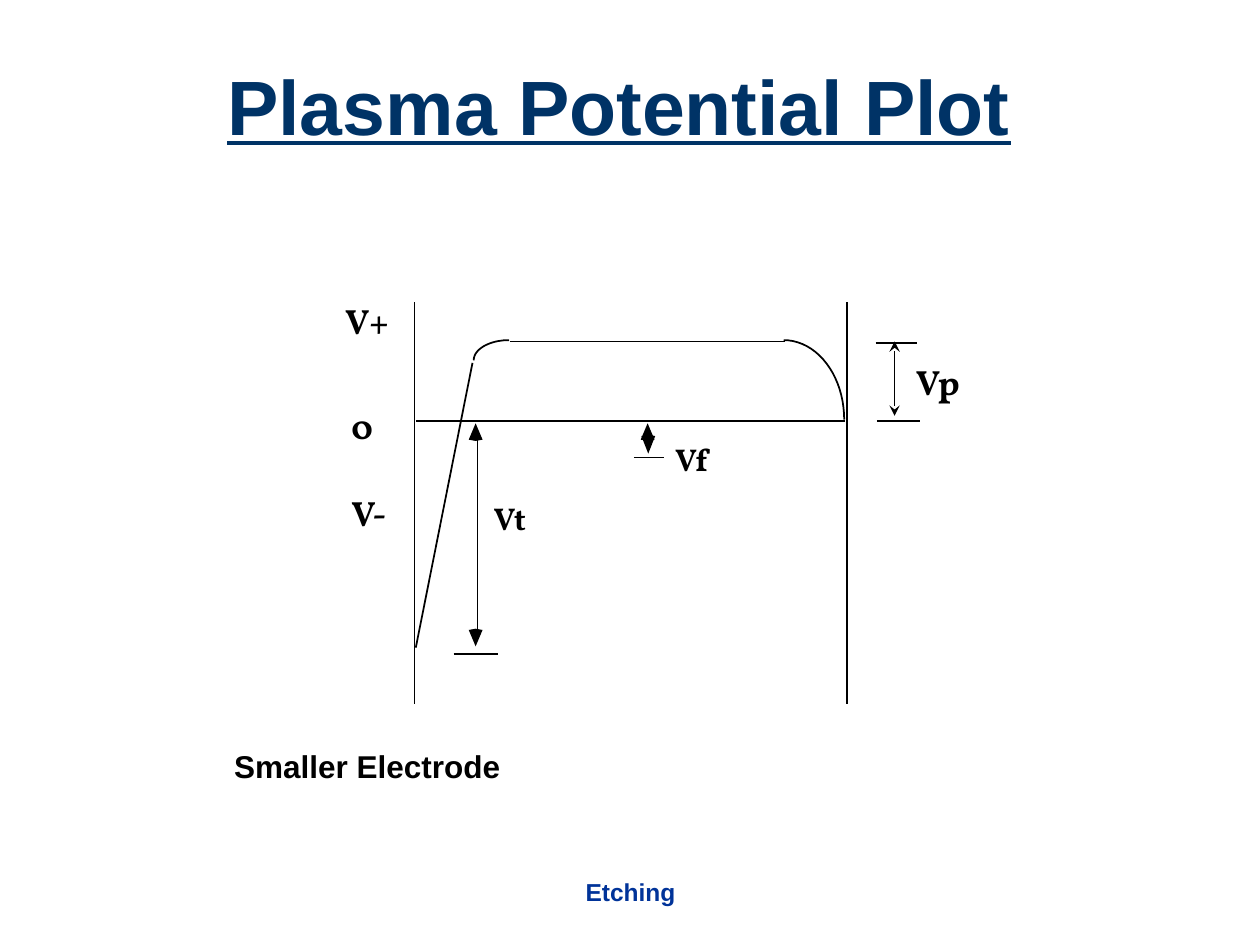
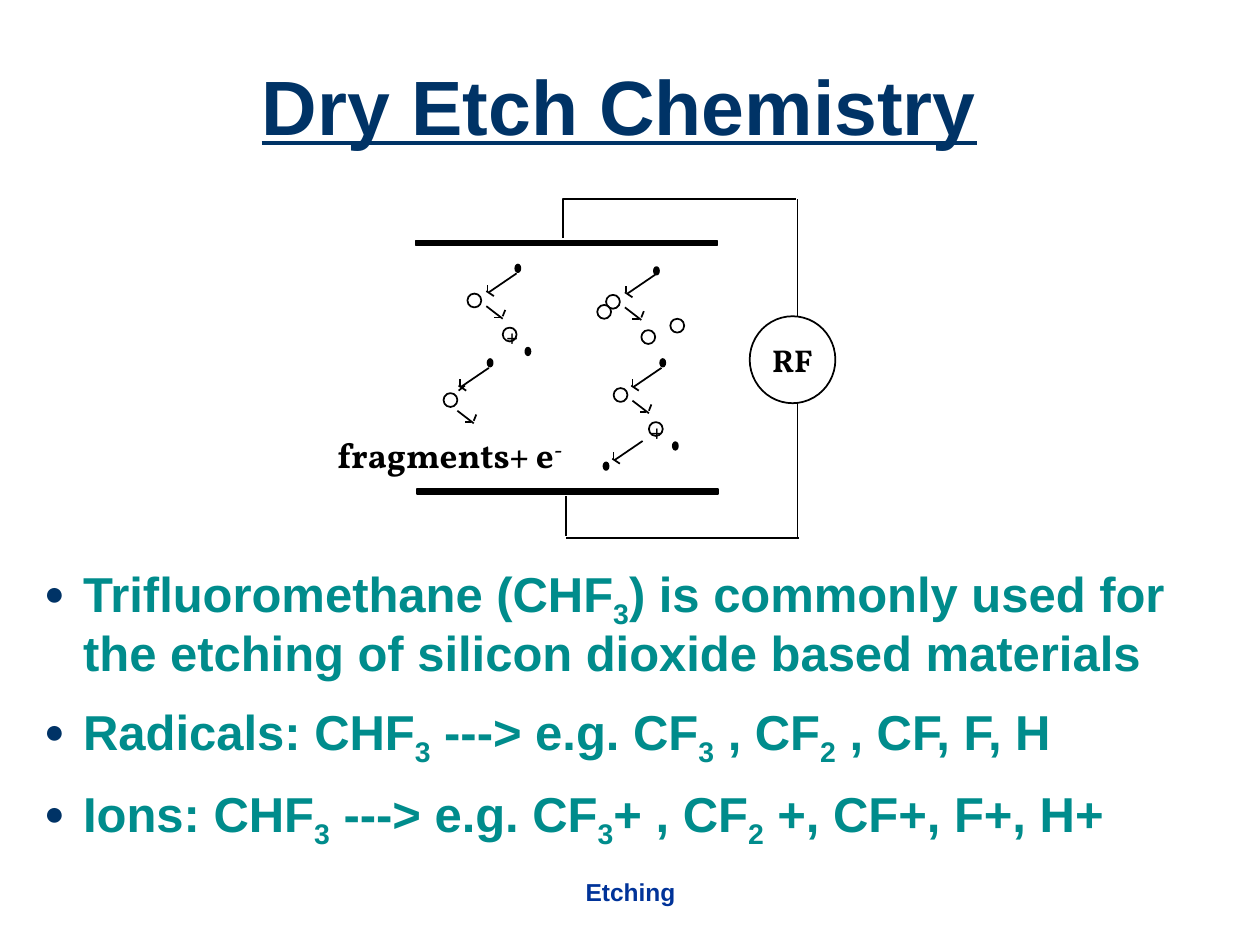
import math
from dataclasses import dataclass
from typing import NamedTuple

from lxml import etree
from pptx import Presentation
from pptx import util as u
from pptx.dml.color import RGBColor
from pptx.enum import shapes, text
from pptx.oxml.ns import qn


@dataclass(frozen=True)
class Theme:
    title: RGBColor = RGBColor(0x00, 0x33, 0x66)
    body: RGBColor = RGBColor(0x00, 0x8C, 0x8C)
    footer: RGBColor = RGBColor(0x00, 0x33, 0x99)
    ink: RGBColor = RGBColor(0, 0, 0)
    paper: RGBColor = RGBColor(255, 255, 255)
    sans: str = "Arial"
    serif: str = "Vollkorn"
    title_size: int = 44
    body_size: int = 28
    label_size: int = 20
    small_label_size: int = 18
    footer_size: int = 14
    sign_size: int = 12
    stroke: int = 1


THEME = Theme()
WIDTH, HEIGHT = u.Inches(10), u.Inches(7.5)
COLUMNS, ROWS = 100, 75


class Box(NamedTuple):
    x: float
    y: float
    w: float
    h: float


class Line(NamedTuple):
    x1: float
    y1: float
    x2: float
    y2: float


class Run(NamedTuple):
    text: str
    baseline: int = 0


class Label(NamedTuple):
    runs: list[Run]
    box: Box
    size: int = THEME.label_size
    font: str = THEME.serif
    color: RGBColor = THEME.ink
    centred: bool = False
    grow: bool = True


class Arrow(NamedTuple):
    strokes: list[Line]


TITLE_BOX = Box(2.5, 2.5, 93.3, 12.5)
BODY_BOX = Box(2.5, 44.2, 93.3, 25)
FOOTER = Label([Run("Etching")], Box(34.2, 68.3, 31.7, 5), THEME.footer_size,
               THEME.sans, THEME.footer, True, False)
SUB3, SUB2 = Run("3", -25), Run("2", -25)

ELECTRON_PATH = Arrow([Line(0, 0, -2.2, 1.5), Line(-2.3, 1.4, -2.3, 0.9),
                       Line(-2.4, 1.4, -1.8, 1.8)])
PRODUCT_PATH = Arrow([Line(0, 0, 1.3, 1), Line(1.3, 0.8, 1.5, 0.3),
                      Line(1.1, 0.9, 0.6, 0.9)])


def col(n: float) -> int:
    return round(WIDTH * n / COLUMNS)


def row(n: float) -> int:
    return round(HEIGHT * n / ROWS)


def place(box: Box) -> tuple[int, int, int, int]:
    return col(box.x), row(box.y), col(box.w), row(box.h)


def add_runs(p, runs: list[Run], size: int, font: str, color: RGBColor,
             underline: bool = False) -> None:
    for run in runs:
        r = p.add_run()
        r.text = run.text
        r.font.size = u.Pt(size)
        r.font.name = font
        r.font.bold = True
        r.font.color.rgb = color
        if underline:
            r.font.underline = True
        if run.baseline:
            r.font._element.set("baseline", str(run.baseline * 1000))


def add_label(parent, label: Label) -> None:
    sp = parent.add_textbox(*place(label.box))
    tf = sp.text_frame
    tf.word_wrap = False
    fit = text.MSO_AUTO_SIZE
    tf.auto_size = fit.SHAPE_TO_FIT_TEXT if label.grow else fit.NONE
    p = tf.paragraphs[0]
    if label.centred:
        p.alignment = text.PP_ALIGN.CENTER
        tf.vertical_anchor = text.MSO_ANCHOR.MIDDLE
    add_runs(p, label.runs, label.size, label.font, label.color)


def ink_stroke(sp) -> None:
    sp.line.color.rgb = THEME.ink
    sp.line.width = u.Pt(THEME.stroke)


def add_line(parent, line: Line, stealth: bool = False) -> None:
    sp = parent.add_connector(shapes.MSO_CONNECTOR.STRAIGHT, col(line.x1),
                              row(line.y1), col(line.x2), row(line.y2))
    ink_stroke(sp)
    if stealth:
        ln = sp.line._get_or_add_ln()
        for end in ("a:headEnd", "a:tailEnd"):
            etree.SubElement(ln, qn(end), type="stealth")
    etree.SubElement(sp._element.spPr, qn("a:effectLst"))


def add_arrow(parent, arrow: Arrow, x: float, y: float) -> None:
    for k in arrow.strokes:
        add_line(parent, Line(x + k.x1, y + k.y1, x + k.x2, y + k.y2))


def add_preset(parent, kind, box: Box, fill: RGBColor | None = None) -> None:
    sp = parent.add_shape(kind, *place(box))
    sp.shadow.inherit = False
    if fill is None:
        sp.fill.background()
    else:
        sp.fill.solid()
        sp.fill.fore_color.rgb = fill
    ink_stroke(sp)


def add_outline(parent, points: list[tuple[float, float]], solid: bool = False) -> None:
    spots = [(col(x), row(y)) for x, y in points]
    builder = parent.build_freeform(*spots[0])
    builder.add_line_segments(spots[1:], close=solid)
    sp = builder.convert_to_shape()
    sp.shadow.inherit = False
    if solid:
        sp.fill.solid()
        sp.fill.fore_color.rgb = THEME.ink
        sp.line.fill.background()
    else:
        sp.fill.background()
        ink_stroke(sp)


def add_quarter_ellipse(parent, cx: float, cy: float, rx: float, ry: float) -> None:
    steps = 20
    angles = [math.pi / 2 * i / steps for i in range(steps + 1)]
    add_outline(parent, [(cx + rx * math.sin(a), cy - ry * math.cos(a)) for a in angles])


def add_arrowhead(parent, x: float, tip: float, length: float) -> None:
    base = tip + length
    shoulder = base - length / 14
    add_outline(parent, [(x - 0.55, shoulder), (x, base), (x + 0.55, shoulder),
                         (x, tip)], solid=True)


def fill_placeholder(sp, box: Box):
    sp.left, sp.top, sp.width, sp.height = place(box)
    tf = sp.text_frame
    tf.word_wrap = True
    tf.auto_size = text.MSO_AUTO_SIZE.NONE
    return tf


def add_slide(prs, layout: int, title: str):
    s = prs.slides.add_slide(prs.slide_layouts[layout])
    add_label(s.shapes, FOOTER)
    tf = fill_placeholder(s.shapes.title, TITLE_BOX)
    tf.vertical_anchor = text.MSO_ANCHOR.MIDDLE
    p = tf.paragraphs[0]
    p.alignment = text.PP_ALIGN.CENTER
    p.line_spacing = 0.9
    add_runs(p, [Run(title)], THEME.title_size, THEME.sans, THEME.title, True)
    return s


def add_bullets(sp, items: list[list[Run]]) -> None:
    tf = fill_placeholder(sp, BODY_BOX)
    tf.vertical_anchor = text.MSO_ANCHOR.TOP
    for i, runs in enumerate(items):
        p = tf.add_paragraph() if i else tf.paragraphs[0]
        pPr = p._p.get_or_add_pPr()
        pPr.set("marL", str(col(3.1)))
        pPr.set("indent", str(-col(3.1)))
        color = etree.SubElement(pPr, qn("a:buClr"))
        etree.SubElement(color, qn("a:srgbClr"), val=str(THEME.title))
        etree.SubElement(pPr, qn("a:buSzPct"), val="70000")
        etree.SubElement(pPr, qn("a:buFont"), typeface=THEME.sans)
        etree.SubElement(pPr, qn("a:buChar"), char="●")
        p.line_spacing = 0.95
        p.space_before = u.Pt(10.5 if i else 0)
        add_runs(p, runs, THEME.body_size, THEME.sans, THEME.body)


def build_potential_plot(prs) -> None:
    parent = add_slide(prs, 5, "Plasma Potential Plot").shapes
    walls = [Line(x, 24, x, 55.9) for x in (32.9, 67.2)]
    curve = [Line(33, 33.4, 67.1, 33.4), Line(37.5, 28.8, 33, 51.4),
             Line(40.5, 27.1, 62.3, 27.1)]
    level_marks = [Line(36, 51.9, 39.5, 51.9), Line(69.5, 27.2, 72.8, 27.2),
                   Line(69.6, 33.4, 73, 33.4), Line(50.3, 36.3, 52.7, 36.3)]
    spans = [Line(37.9, 34.4, 37.9, 50.6), Line(51.5, 34.4, 51.6, 35.3)]
    for line in walls + curve + level_marks + spans:
        add_line(parent, line)
    add_line(parent, Line(71, 27.1, 71, 33), stealth=True)
    add_quarter_ellipse(parent, 62.2, 33.3, 4.8, 6.3)
    add_quarter_ellipse(parent, 40.4, 28.6, -2.8, 1.6)
    for x, tip, length in ((37.75, 33.6, 1.4), (37.75, 51.3, -1.4),
                           (51.4, 33.6, 1.4), (51.45, 36, -1.5)):
        add_arrowhead(parent, x, tip, length)
    small = THEME.small_label_size
    for label in (
        Label([Run("V+")], Box(26.4, 23.3, 5.5, 4.3)),
        Label([Run("V-")], Box(26.9, 38.5, 4.8, 4.3)),
        Label([Run("0")], Box(26.9, 31.6, 3.6, 4.3)),
        Label([Run("Vp")], Box(71.7, 28.1, 5.8, 4.3)),
        Label([Run("Vt")], Box(38.2, 39.1, 4.8, 4), small),
        Label([Run("Vf")], Box(52.6, 34.4, 4.8, 4), small),
        Label([Run("Smaller Electrode")], Box(17.6, 58.8, 23.1, 4), small,
              THEME.sans, centred=True),
    ):
        add_label(parent, label)


def draw_reactor(parent) -> None:
    kinds = shapes.MSO_SHAPE
    for x, y in ((33, 19.1), (33.1, 38.8)):
        add_preset(parent, kinds.RECTANGLE, Box(x, y, 23.9, 0.4), THEME.ink)
    add_outline(parent, [(44.7, 18.9), (44.7, 15.8), (63.2, 15.8)])
    for wire in (Line(44.9, 42.5, 44.9, 39.4), Line(63.4, 42.7, 44.9, 42.7),
                 Line(63.3, 15.8, 63.3, 26.8), Line(63.3, 42.6, 63.3, 30)):
        add_line(parent, wire)
    for x, y in ((37.1, 23.3), (48.1, 23.4), (50.9, 26.2), (48.7, 30.8), (51.5, 33.5),
                 (39.9, 26), (35.2, 31.2), (47.4, 24.2), (53.2, 25.3)):
        add_preset(parent, kinds.OVAL, Box(x, y, 1.1, 1.1))
    for x, y in ((40.9, 21), (41.7, 27.6), (51.9, 21.2), (52.4, 28.5),
                 (53.4, 35.1), (47.9, 36.7), (38.7, 28.5)):
        add_preset(parent, kinds.OVAL, Box(x, y, 0.4, 0.6), THEME.ink)
    for x, y in ((41, 21.7), (52, 21.8), (52.5, 29.2), (51, 35), (38.8, 29.2)):
        add_arrow(parent, ELECTRON_PATH, x, y)
    for x, y in ((38.6, 24.3), (49.6, 24.4), (50.2, 31.8), (36.3, 32.6)):
        add_arrow(parent, PRODUCT_PATH, x, y)
    add_line(parent, Line(36.9, 30.6, 36.4, 31))
    add_preset(parent, kinds.OVAL, Box(59.5, 25.1, 6.8, 6.9), THEME.paper)
    for x, y in ((39.2, 25.2), (50.7, 32.7)):
        add_label(parent, Label([Run("+")], Box(x, y, 3, 3), THEME.sign_size))
    add_label(parent, Label([Run("fragments+ e"), Run("-", 30)],
                            Box(25.8, 33.9, 20.9, 7.7)))
    add_label(parent, Label([Run("RF")], Box(60.3, 26.6, 5.3, 4),
                            THEME.small_label_size))


def build_etch_chemistry(prs) -> None:
    s = add_slide(prs, 1, "Dry Etch Chemistry")
    draw_reactor(s.shapes.add_group_shape().shapes)
    add_bullets(s.placeholders[1], [
        [Run("Trifluoromethane (CHF"), SUB3,
         Run(") is commonly used for the etching of silicon dioxide based materials")],
        [Run("Radicals: CHF"), SUB3, Run(" ---> e.g. CF"), SUB3, Run(" , CF"), SUB2,
         Run(" , CF, F, H")],
        [Run("Ions: CHF"), SUB3, Run(" ---> e.g. CF"), SUB3, Run("+ , CF"), SUB2,
         Run(" +, CF+, F+, H+")],
    ])


def main() -> None:
    prs = Presentation()
    prs.slide_width, prs.slide_height = WIDTH, HEIGHT
    build_potential_plot(prs)
    build_etch_chemistry(prs)
    prs.save("out.pptx")


if __name__ == "__main__":
    main()
